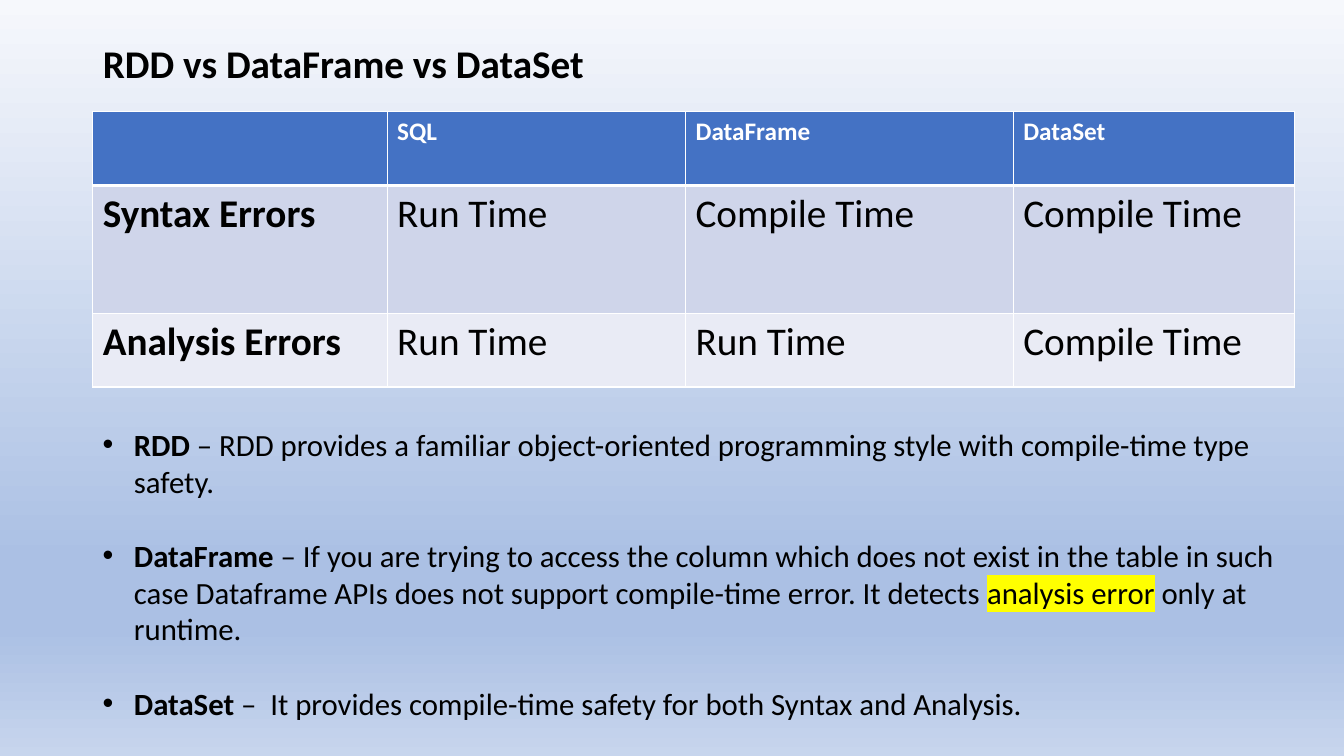
import pptx
import pptx.dml.color
import pptx.enum.text
import pptx.oxml
import pptx.oxml.ns
import pptx.util
from pptx.util import Inches

COLORS = {
    "text": "000000",
    "white": "FFFFFF",
    "header": "4472C4",
    "band_dark": "CFD5EA",
    "band_light": "E9EBF5",
    "highlight": "FFFF00",
}
BACKGROUND_STOPS = [(0, "F6F8FC"), (74, "ABC0E4"), (83, "ABC0E4"), (100, "C7D5ED")]
FONT = "Calibri"
LEFT = 0.92
WIDTH = 11.92
COLUMN_WIDTHS = [2.92, 2.96, 3.25, 2.79]
ROWS = [
    (0.73, "header", ["", "SQL", "DataFrame", "DataSet"]),
    (1.27, "band_dark", ["Syntax Errors", "Run Time", "Compile Time", "Compile Time"]),
    (0.73, "band_light", ["Analysis Errors", "Run Time", "Run Time", "Compile Time"]),
]
BULLETS = [
    [
        ("RDD", {"bold": True}),
        (" – RDD provides a familiar object-oriented programming style with "
         "compile-time type safety.", {}),
    ],
    [
        ("DataFrame", {"bold": True}),
        (" – If you are trying to access the column which does not exist in the table "
         "in such case Dataframe APIs does not support compile-time error. It detects ", {}),
        ("analysis error", {"highlight": "highlight"}),
        (" only at runtime.", {}),
    ],
    [
        ("DataSet", {"bold": True}),
        (" –  It provides compile-time safety for both Syntax and Analysis.", {}),
    ],
]


def rgb(name):
    """Return the named colour."""
    return pptx.dml.color.RGBColor.from_string(COLORS[name])


def drawing_element(markup):
    """Parse markup whose root element is in the drawing namespace."""
    root, rest = markup.split(" ", 1)
    return pptx.oxml.parse_xml(f"{root} {pptx.oxml.ns.nsdecls('a')} {rest}")


def add_text(paragraph, text, size=22, bold=False, color="text", highlight=None):
    """Add one formatted run to a paragraph."""
    run = paragraph.add_run()
    run.text = text
    run.font.size = pptx.util.Pt(size)
    run.font.bold = bold
    run.font.name = FONT
    run.font.color.rgb = rgb(color)
    if highlight:
        solid_fill = run.font._element.find(pptx.oxml.ns.qn("a:solidFill"))
        solid_fill.addnext(drawing_element(
            f'<a:highlight ><a:srgbClr val="{COLORS[highlight]}"/></a:highlight>'))


def paint_background(slide):
    """Fill the slide with a vertical gradient."""
    fill = slide.background.fill
    fill.gradient()
    gradient = slide.background._cSld.find(".//" + pptx.oxml.ns.qn("a:gradFill"))
    stops = "".join(f'<a:gs pos="{position * 1000}"><a:srgbClr val="{color}"/></a:gs>'
                    for position, color in BACKGROUND_STOPS)
    gradient.getparent().replace(gradient, drawing_element(
        f'<a:gradFill rotWithShape="1"><a:gsLst>{stops}</a:gsLst>'
        '<a:lin ang="5400000" scaled="0"/></a:gradFill>'))


def place_title(slide, left, top, width, height):
    """Move and format the title placeholder."""
    title = slide.shapes.title
    title.left, title.top = Inches(left), Inches(top)
    title.width, title.height = Inches(width), Inches(height)
    frame = title.text_frame
    frame.auto_size = pptx.enum.text.MSO_AUTO_SIZE.NONE
    frame.vertical_anchor = pptx.enum.text.MSO_ANCHOR.MIDDLE
    paragraph = frame.paragraphs[0]
    paragraph.alignment = pptx.enum.text.PP_ALIGN.LEFT
    paragraph.line_spacing = 0.9
    add_text(paragraph, "RDD vs DataFrame vs DataSet", size=28, bold=True)


def border_cell(cell, top, bottom):
    """Draw white cell borders, with top and bottom widths in points."""
    properties = cell._tc.get_or_add_tcPr()
    sides = [("lnL", 1), ("lnR", 1), ("lnT", top), ("lnB", bottom)]
    for index, (side, points) in enumerate(sides):
        properties.insert(index, drawing_element(
            f'<a:{side} w="{pptx.util.Pt(points)}"><a:solidFill>'
            f'<a:srgbClr val="{COLORS["white"]}"/></a:solidFill></a:{side}>'))


def place_table(slide, left, top, width, height):
    """Add the table of when each interface detects errors."""
    table = slide.shapes.add_table(
        len(ROWS), len(COLUMN_WIDTHS),
        Inches(left), Inches(top), Inches(width), Inches(height)).table
    for column, column_width in zip(table.columns, COLUMN_WIDTHS):
        column.width = Inches(column_width)
    for row_index, (row_height, fill, texts) in enumerate(ROWS):
        table.rows[row_index].height = Inches(row_height)
        is_header = row_index == 0
        for column_index, text in enumerate(texts):
            cell = table.cell(row_index, column_index)
            cell.fill.solid()
            cell.fill.fore_color.rgb = rgb(fill)
            border_cell(cell, 3 if row_index == 1 else 1, 3 if is_header else 1)
            if text:
                add_text(cell.text_frame.paragraphs[0], text,
                         size=18 if is_header else 28,
                         bold=is_header or column_index == 0,
                         color="white" if is_header else "text")


def place_bullets(slide, left, top, width, height):
    """Add the bulleted explanations."""
    frame = slide.shapes.add_textbox(
        Inches(left), Inches(top), Inches(width), Inches(height)).text_frame
    frame.word_wrap = True
    frame.auto_size = pptx.enum.text.MSO_AUTO_SIZE.SHAPE_TO_FIT_TEXT
    for index, runs in enumerate(BULLETS):
        paragraph = frame.add_paragraph() if index else frame.paragraphs[0]
        properties = paragraph._p.get_or_add_pPr()
        properties.set("marL", str(Inches(0.31)))
        properties.set("indent", str(-Inches(0.31)))
        properties.append(drawing_element('<a:buFont typeface="Arial"/>'))
        properties.append(drawing_element('<a:buChar char="•"/>'))
        if index:
            paragraph.space_before = pptx.util.Pt(26.5)
        for text, formatting in runs:
            add_text(paragraph, text, **formatting)


def main():
    """Build and save the presentation."""
    presentation = pptx.Presentation()
    presentation.slide_width = Inches(13.33)
    presentation.slide_height = Inches(7.5)
    slide = presentation.slides.add_slide(presentation.slide_layouts[5])
    paint_background(slide)
    place_title(slide, LEFT, 0.4, 11.5, 0.5)
    place_table(slide, LEFT, 1.11, WIDTH, 2.73)
    place_bullets(slide, LEFT, 4.17, WIDTH, 3.06)
    presentation.save("out.pptx")


if __name__ == "__main__":
    main()
